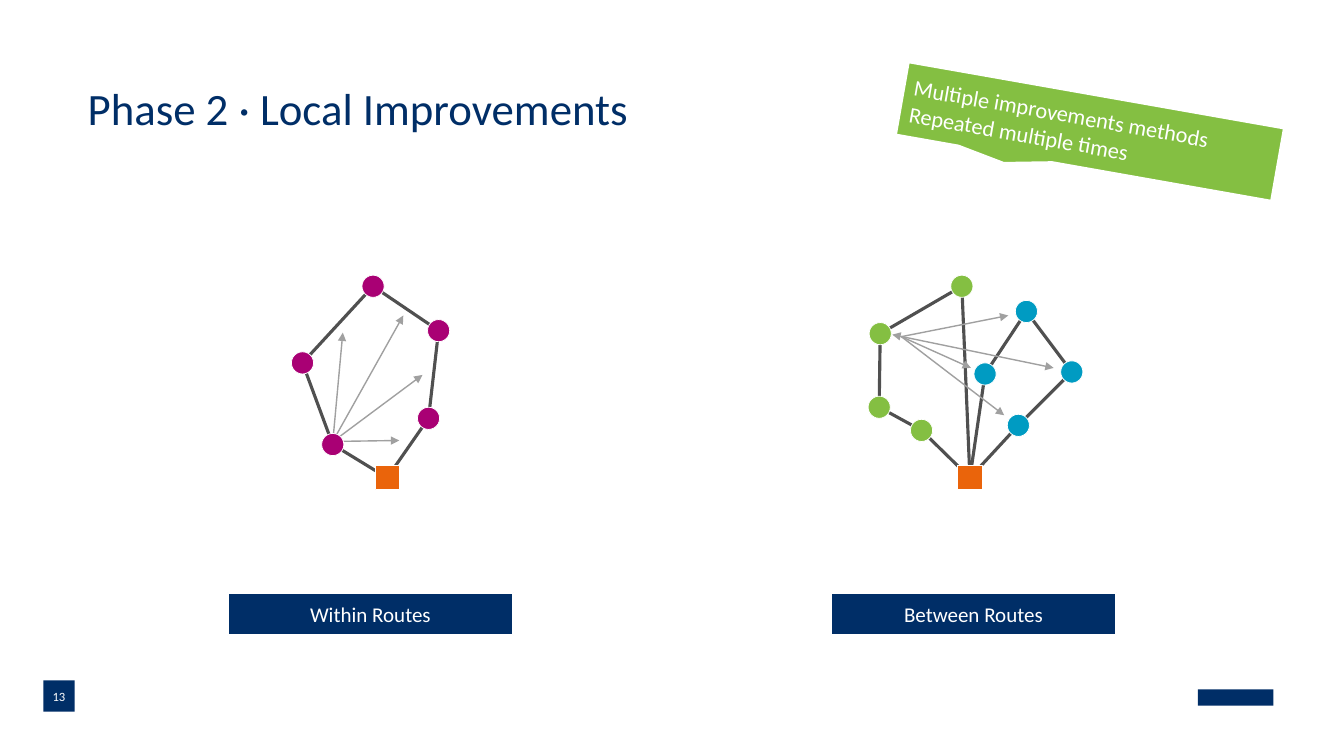
from lxml import etree
from pptx import Presentation
from pptx.dml.color import RGBColor
from pptx.enum.shapes import MSO_CONNECTOR, MSO_SHAPE as SHAPE
from pptx.enum.text import MSO_ANCHOR, PP_ALIGN as ALIGN
from pptx.oxml.ns import qn
from pptx.util import Inches, Pt

# The slide is a grid of square cells; every place is given as (column, row).
COLUMNS, ROWS = 13.33, 7.5
CELL = Inches(1)

FONT = "Calibri"
NAVY, WHITE, GREEN = "002E67", "FFFFFF", "84BF42"
PURPLE, BLUE, ORANGE = "A90074", "009BC2", "EA640B"
ROAD, MOVE = "505050", "A0A0A0"

STOP_SIZE, DEPOT_SIZE = 0.22, 0.24
LABEL_SIZE = (2.83, 0.42)

WITHIN_DEPOT = (3.84, 4.74)
PURPLE_STOPS = [(3.3, 4.41), (3, 3.6), (3.7, 2.84), (4.35, 3.28), (4.25, 4.15)]
WITHIN_MOVES = [
    ((3.29, 4.38), (3.96, 4.37)),
    ((3.29, 4.39), (4.19, 3.72)),
    ((3.3, 4.38), (4, 3.13)),
    ((3.3, 4.39), (3.4, 3.3)),
]

BETWEEN_DEPOT = (9.62, 4.74)
GREEN_STOPS = [(9.14, 4.27), (8.72, 4.04), (8.73, 3.31), (9.54, 2.84)]
BLUE_STOPS = [(9.77, 3.71), (10.18, 3.09), (10.63, 3.69), (10.1, 4.22)]
BETWEEN_HUB = (8.94, 3.34)
BETWEEN_TARGETS = [(9.96, 4.12), (9.63, 3.65), (10, 3.13)]


def cells(*counts):
    return [round(count * CELL) for count in counts]


def color(hex_value):
    return RGBColor.from_string(hex_value)


def write(shape, lines, size, text_color=WHITE, align=ALIGN.CENTER, inset=None):
    frame = shape.text_frame
    frame.word_wrap = True
    frame.vertical_anchor = MSO_ANCHOR.MIDDLE
    if inset is not None:
        frame.margin_left = frame.margin_right = inset
        frame.margin_top = frame.margin_bottom = inset
    for index, line in enumerate(lines):
        paragraph = frame.add_paragraph() if index else frame.paragraphs[0]
        paragraph.alignment = align
        run = paragraph.add_run()
        run.text = line
        run.font.name = FONT
        run.font.size = Pt(size)
        run.font.color.rgb = color(text_color)


def add_block(slide, kind, corner, size, fill, outline=None):
    block = slide.shapes.add_shape(kind, *cells(*corner, *size))
    block.shadow.inherit = False
    block.fill.solid()
    block.fill.fore_color.rgb = color(fill)
    if outline:
        block.line.color.rgb = color(WHITE)
        block.line.width = Pt(outline)
    else:
        block.line.fill.background()
    return block


def add_line(slide, start, end, line_color, width, arrows=()):
    """Arrows names the line ends that carry a triangle: headEnd, tailEnd."""
    line = slide.shapes.add_connector(MSO_CONNECTOR.STRAIGHT, *cells(*start, *end))
    line.line.color.rgb = color(line_color)
    line.line.width = Pt(width)
    outline = line.line._get_or_add_ln()
    for arrow in arrows:
        etree.SubElement(outline, qn(f"a:{arrow}"), type="triangle")
    etree.SubElement(line._element.spPr, qn("a:effectLst"))


def add_move(slide, start, end, arrows=("tailEnd",)):
    add_line(slide, start, end, MOVE, 1, arrows)


def add_node(slide, kind, center, size, fill):
    corner = [middle - size / 2 for middle in center]
    add_block(slide, kind, corner, (size, size), fill, outline=0.55)


def add_routes(slide, depot, routes):
    """Draw closed tours from one depot; routes maps a colour to its stops."""
    for stops in routes.values():
        for start, end in zip([depot, *stops], [*stops, depot]):
            add_line(slide, start, end, ROAD, 2.25)
    add_node(slide, SHAPE.RECTANGLE, depot, DEPOT_SIZE, ORANGE)
    for fill, stops in routes.items():
        for stop in stops:
            add_node(slide, SHAPE.OVAL, stop, STOP_SIZE, fill)


def add_label(slide, caption, column):
    label = add_block(slide, SHAPE.RECTANGLE, (column, 5.88), LABEL_SIZE, NAVY, outline=1.5)
    write(label, [caption], 15)


def add_title(slide, caption):
    title = slide.shapes.add_textbox(*cells(0.87, 0.87, 11.6, 0.46))
    write(title, [caption], 32, NAVY, ALIGN.LEFT, inset=0)
    title.text_frame.paragraphs[0].line_spacing = 0.9


def add_callout(slide, lines):
    callout = add_block(slide, SHAPE.RECTANGULAR_CALLOUT, (8.92, 0.94), (3.78, 0.73),
                        GREEN, outline=1.5)
    callout.rotation = 10
    write(callout, lines, 16, align=ALIGN.LEFT)


def add_footer(slide, number):
    add_block(slide, SHAPE.RECTANGLE, (11.88, 6.84), (0.75, 0.16), NAVY)
    badge = add_block(slide, SHAPE.RECTANGLE, (0.43, 6.75), (0.31, 0.31), NAVY)
    write(badge, [number], 9, inset=0)


def main():
    deck = Presentation()
    deck.slide_width, deck.slide_height = cells(COLUMNS, ROWS)
    slide = deck.slides.add_slide(deck.slide_layouts[6])

    add_title(slide, "Phase 2 · Local Improvements")
    add_footer(slide, "13")

    for start, end in WITHIN_MOVES:
        add_move(slide, start, end)
    add_label(slide, "Within Routes", 2.26)
    add_routes(slide, WITHIN_DEPOT, {PURPLE: PURPLE_STOPS})

    add_callout(slide, ["Multiple improvements methods", "Repeated multiple times"])
    add_label(slide, "Between Routes", 8.24)
    add_routes(slide, BETWEEN_DEPOT, {GREEN: GREEN_STOPS, BLUE: BLUE_STOPS})
    add_move(slide, (8.85, 3.32), (10.45, 3.65), ("headEnd", "tailEnd"))
    for target in BETWEEN_TARGETS:
        add_move(slide, BETWEEN_HUB, target)

    deck.save("out.pptx")


if __name__ == "__main__":
    main()
